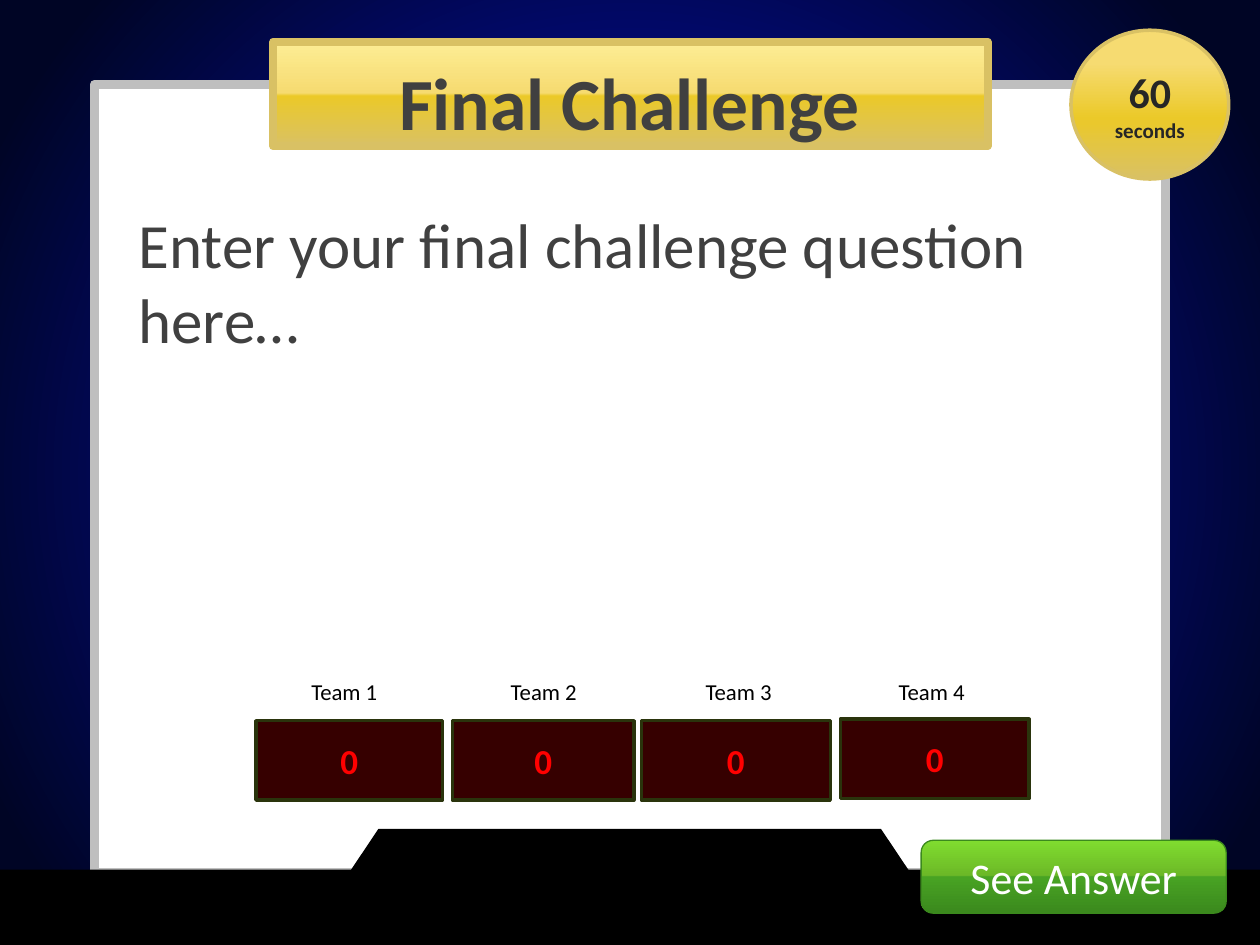
"""Build the Final Challenge slide of a quiz show."""
from lxml.etree import SubElement
from pptx import Presentation
from pptx.dml.color import RGBColor
from pptx.enum.shapes import MSO_SHAPE
from pptx.enum.text import MSO_ANCHOR, MSO_AUTO_SIZE, PP_ALIGN
from pptx.oxml.ns import qn
from pptx.util import Cm, Pt

COLORS = {
    "white": "FFFFFF", "black": "000000", "frame": "BFBFBF",
    "text": "404040", "timer_text": "262626", "gold_line": "D9C164",
    "score_fill": "360000", "score_line": "2A340C", "score_text": "FF0000",
    "button_line": "3B891D",
}
GRADIENTS = {
    "night": [(0, "030DD3"), (91, "000525")],
    "banner": [(0, "FDED95"), (49, "F6DB71"), (52, "EBC929"), (100, "D9C164")],
    "timer": [(0, "F6DB71"), (22, "F6DB71"), (59, "EBC929"),
              (62, "EAC82D"), (100, "D9C164")],
    "button": [(0, "80DC2F"), (48, "6CB927"), (50, "48A323"), (100, "3B891D")],
}


def write(paragraph, text, size=13, color="black", bold=False, align=PP_ALIGN.CENTER):
    """Put formatted text into a paragraph."""
    paragraph.text = text
    paragraph.alignment = align
    paragraph.space_before = Pt(0)
    font = paragraph.runs[0].font
    font.name = "Calibri"
    font.size = Pt(size)
    font.bold = bold
    font.color.rgb = RGBColor.from_string(COLORS[color])


class QuizSlide:
    """Hold the current slide and its style."""

    def __init__(self, presentation):
        """Add a slide with title and body placeholders."""
        self.slide = presentation.slides.add_slide(presentation.slide_layouts[1])

    def place(self, shape, box):
        """Move a shape to a box given in centimetres."""
        shape.left, shape.top, shape.width, shape.height = map(Cm, box)

    def gradient(self, shape, name, radial=False):
        """Fill a shape with a named gradient."""
        shape.fill.gradient()
        gradient = shape._element.spPr.find(qn("a:gradFill"))
        for child in list(gradient):
            gradient.remove(child)
        stops = SubElement(gradient, qn("a:gsLst"))
        for position, color in GRADIENTS[name]:
            stop = SubElement(stops, qn("a:gs"), pos=str(position * 1000))
            SubElement(stop, qn("a:srgbClr"), val=color)
        if radial:
            path = SubElement(gradient, qn("a:path"), path="circle")
            SubElement(path, qn("a:fillToRect"), l="50000", t="50000", r="50000", b="50000")
        else:
            SubElement(gradient, qn("a:lin"), ang="5400000", scaled="0")

    def shape(self, box, fill, kind=MSO_SHAPE.RECTANGLE, line=None, width=1, radial=False):
        """Add a filled preset shape."""
        shape = self.slide.shapes.add_shape(kind, *map(Cm, box))
        shape.shadow.inherit = False
        if fill in GRADIENTS:
            self.gradient(shape, fill, radial)
        else:
            shape.fill.solid()
            shape.fill.fore_color.rgb = RGBColor.from_string(COLORS[fill])
        if line:
            shape.line.color.rgb = RGBColor.from_string(COLORS[line])
            shape.line.width = Pt(width)
        else:
            shape.line.fill.background()
        shape.text_frame.vertical_anchor = MSO_ANCHOR.MIDDLE
        return shape

    def label(self, box, text):
        """Add a centred text box."""
        frame = self.slide.shapes.add_textbox(*map(Cm, box)).text_frame
        frame.word_wrap = True
        write(frame.paragraphs[0], text)

    def placeholder(self, index, box, text, **style):
        """Bring a placeholder to the front and fill it."""
        shape = self.slide.placeholders[index]
        self.slide.shapes._spTree.append(shape._element)
        self.place(shape, box)
        frame = shape.text_frame
        frame.word_wrap = True
        frame.auto_size = MSO_AUTO_SIZE.NONE
        frame.vertical_anchor = MSO_ANCHOR.TOP
        paragraph = frame.paragraphs[0]
        properties = paragraph._p.get_or_add_pPr()
        properties.set("marL", "0")
        properties.set("indent", "0")
        SubElement(properties, qn("a:buNone"))
        write(paragraph, text, **style)

    def team(self, number, left, width, top, label_left):
        """Add a team name above its score."""
        score = self.shape((left, top, width, 1.6), "score_fill", line="score_line", width=2)
        write(score.text_frame.paragraphs[0], "0", size=20, color="score_text", bold=True)
        self.label((label_left, 13.54, 3.78, 0.81), f"Team {number}")

    def timer(self, box):
        """Add the round countdown badge."""
        badge = self.shape(box, "timer", MSO_SHAPE.OVAL, "gold_line", 2)
        frame = badge.text_frame
        write(frame.paragraphs[0], "60", size=24, color="timer_text", bold=True)
        write(frame.add_paragraph(), "seconds", size=12, color="timer_text", bold=True)

    def button(self, box, text):
        """Add a glossy rounded button."""
        button = self.shape(box, "button", MSO_SHAPE.ROUNDED_RECTANGLE, "button_line", 0.75)
        button.text_frame.word_wrap = False
        write(button.text_frame.paragraphs[0], text, size=25, color="white")


def main():
    """Build and save the presentation."""
    presentation = Presentation()
    presentation.slide_width, presentation.slide_height = Cm(25.4), Cm(19.05)
    quiz = QuizSlide(presentation)

    quiz.shape((0, 0, 25.4, 19.05), "night", radial=True)
    quiz.shape((1.9, 1.7, 21.6, 15.88), "white", line="frame", width=5)
    stand = quiz.shape((6.98, 16.71, 11.43, 0.97), "black", MSO_SHAPE.TRAPEZOID)
    stand.adjustments[0] = 0.67
    quiz.shape((0, 17.53, 25.4, 1.52), "black")
    quiz.shape((5.51, 0.84, 14.4, 2.11), "banner", line="gold_line", width=4.5)

    teams = [(5.16, 3.76, 14.53, 5.05), (9.12, 3.66, 14.53, 9.07),
             (12.93, 3.81, 14.53, 13), (16.94, 3.81, 14.5, 16.89)]
    for number, position in enumerate(teams, 1):
        quiz.team(number, *position)

    quiz.timer((21.59, 0.61, 3.18, 3))
    quiz.button((18.57, 16.94, 6.15, 1.47), "See Answer")
    quiz.placeholder(1, (2.54, 4.01, 20.12, 3.33),
                     "Enter your final challenge question here…",
                     size=36, color="text", align=PP_ALIGN.LEFT)
    quiz.placeholder(0, (5.92, 1.02, 13.54, 1.7), "Final Challenge",
                     size=42, color="text", bold=True)
    presentation.save("out.pptx")


if __name__ == "__main__":
    main()
